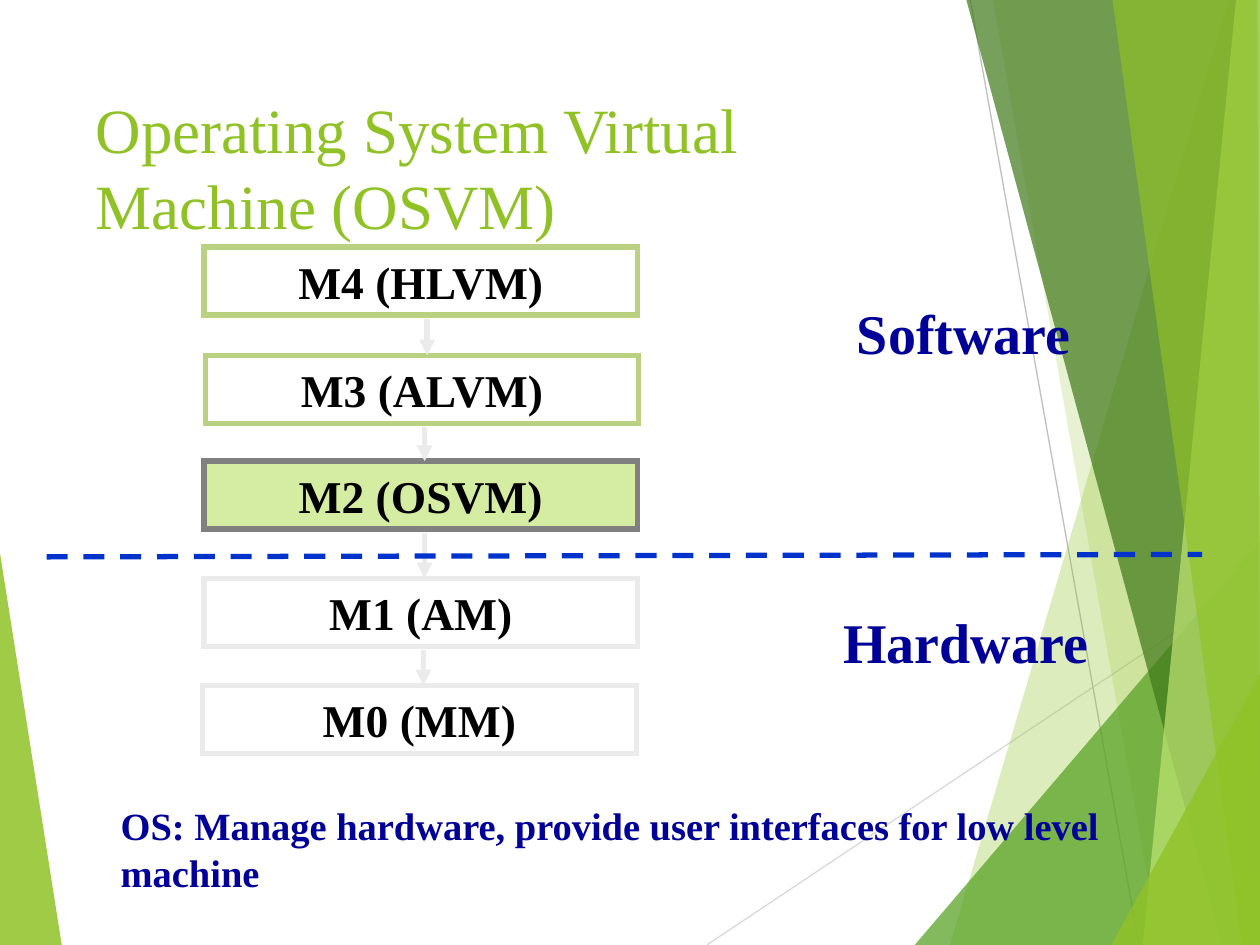
from lxml import etree
from pptx import Presentation
from pptx.dml.color import RGBColor
from pptx.enum.dml import MSO_LINE
from pptx.enum.shapes import MSO_CONNECTOR, MSO_SHAPE
from pptx.enum.text import MSO_ANCHOR, PP_ALIGN
from pptx.oxml.ns import qn
from pptx.util import Inches, Pt

STRAIGHT, RECTANGLE, DASH = MSO_CONNECTOR.STRAIGHT, MSO_SHAPE.RECTANGLE, MSO_LINE.DASH
LEFT, CENTER = PP_ALIGN.LEFT, PP_ALIGN.CENTER
TOP, MIDDLE = MSO_ANCHOR.TOP, MSO_ANCHOR.MIDDLE
LIME = RGBColor(0x90, 0xC2, 0x26)
GREEN = RGBColor(0x54, 0xA0, 0x21)
DARK_GREEN = RGBColor(0x3F, 0x78, 0x19)
PALE_LIME = RGBColor(0xC0, 0xE4, 0x74)
SOFT_GREEN = RGBColor(0xB9, 0xD1, 0x81)
HIGHLIGHT = RGBColor(0xD5, 0xED, 0xA2)
GRAY = RGBColor(0x80, 0x80, 0x80)
LIGHT_GRAY = RGBColor(0xEB, 0xEB, 0xEB)
RAY_GRAY = RGBColor(0xD9, 0xD9, 0xD9)
RAY_DARK_GRAY = RGBColor(0xBF, 0xBF, 0xBF)
NAVY = RGBColor(0x00, 0x00, 0x99)
BLUE = RGBColor(0x00, 0x33, 0xCC)
BLACK = RGBColor(0, 0, 0)

presentation = Presentation()
presentation.slide_width, presentation.slide_height = Inches(10), Inches(7.5)
slide = presentation.slides.add_slide(presentation.slide_layouts[5])
shapes = slide.shapes


def add_line(start, end, color, width):
    line = shapes.add_connector(STRAIGHT, *(Inches(value) for value in (*start, *end)))
    line.line.color.rgb = color
    line.line.width = Pt(width)
    etree.SubElement(line._element.spPr, qn("a:effectLst"))
    return line


def write_text(shape, text, size, color, alignment, bold=True):
    paragraph = shape.text_frame.paragraphs[0]
    paragraph.text = text
    paragraph.alignment = alignment
    font = paragraph.font
    font.name, font.size, font.bold = "Times New Roman", Pt(size), bold
    font.color.rgb = color


# Background facets: color, opacity in percent, corners
facets = [
    (LIME, 85, [(0, 4.39), (0.49, 7.5), (0, 7.5)]),
    (LIME, 30, [(9.75, 0), (7.54, 7.5), (10, 7.5), (10, 0)]),
    (LIME, 20, [(7.88, 0), (9.2, 7.5), (10, 7.5), (10, 0)]),
    (GREEN, 72, [(7.26, 7.5), (10, 4.29), (10, 7.5)]),
    (DARK_GREEN, 70, [(7.67, 0), (9.7, 7.5), (10, 7.5), (10, 0)]),
    (PALE_LIME, 70, [(9.81, 0), (9.07, 7.5), (10, 7.5), (10, 0)]),
    (LIME, 65, [(8.83, 0), (9.86, 7.5), (10, 7.5), (9.98, 0)]),
    (LIME, 80, [(8.82, 7.5), (10, 5.35), (10, 7.5)]),
]
add_line((5.61, 7.5), (10, 4.57), RAY_GRAY, 0.75)
add_line((7.7, 0), (9.04, 7.5), RAY_DARK_GRAY, 0.75)
for color, opacity, corners in facets:
    points = [(Inches(x), Inches(y)) for x, y in corners]
    builder = shapes.build_freeform(*points[0])
    builder.add_line_segments(points[1:])
    facet = builder.convert_to_shape()
    facet.shadow.inherit = False
    facet.line.fill.background()
    facet.fill.solid()
    facet.fill.fore_color.rgb = color
    color_element = facet._element.spPr.find(qn("a:solidFill"))[0]
    etree.SubElement(color_element, qn("a:alpha"), val=str(opacity * 1000))

title = shapes.title
title.left, title.top, title.width, title.height = map(Inches, (0.66, 0.67, 6.94, 1.44))
title.text_frame.vertical_anchor = TOP
title.text_frame.word_wrap = True
write_text(title, "Operating System Virtual Machine (OSVM)", 36, LIME, LEFT, bold=False)
shapes._spTree.append(title._element)

# Machine levels from top to bottom
levels = [
    ("M4 (HLVM)", 1.62, 1.96, SOFT_GREEN),
    ("M3 (ALVM)", 1.63, 2.82, SOFT_GREEN),
    ("M2 (OSVM)", 1.62, 3.66, GRAY),
    ("M1 (AM)", 1.62, 4.59, LIGHT_GRAY),
    ("M0 (MM)", 1.61, 5.44, LIGHT_GRAY),
]
BOX_WIDTH, BOX_HEIGHT = 3.44, 0.54
for name, left, top, border in levels:
    box = shapes.add_shape(RECTANGLE, *map(Inches, (left, top, BOX_WIDTH, BOX_HEIGHT)))
    box.shadow.inherit = False
    if name.startswith("M2"):
        box.fill.solid()
        box.fill.fore_color.rgb = HIGHLIGHT
    else:
        box.fill.background()
    box.line.color.rgb = border
    box.line.width = Pt(3)
    etree.SubElement(box.line._get_or_add_ln(), qn("a:miter"), lim="800000")
    box.text_frame.vertical_anchor = MIDDLE
    write_text(box, name, 26, BLACK, CENTER)

for x, upper, lower in zip((3.39, 3.37, 3.37, 3.36), levels, levels[1:]):
    arrow = add_line((x, upper[2] + BOX_HEIGHT + 0.03), (x, lower[2]), LIGHT_GRAY, 3)
    etree.SubElement(arrow.line._get_or_add_ln(), qn("a:tailEnd"), type="triangle")

divider = add_line((0.37, 4.42), (9.54, 4.4), BLUE, 3)
divider.line.dash_style = DASH

captions = [
    ("OS: Manage hardware, provide user interfaces for low level machine",
     (0.86, 6.32, 8.95, 0.84), 22, LEFT),
    ("Software", (6.7, 2.32, 1.9, 0.64), 32, CENTER),
    ("Hardware", (6.59, 4.77, 2.15, 0.64), 32, CENTER),
]
for text, bounds, size, alignment in captions:
    caption = shapes.add_textbox(*map(Inches, bounds))
    caption.text_frame.word_wrap = alignment == LEFT
    write_text(caption, text, size, NAVY, alignment)

presentation.save("out.pptx")
